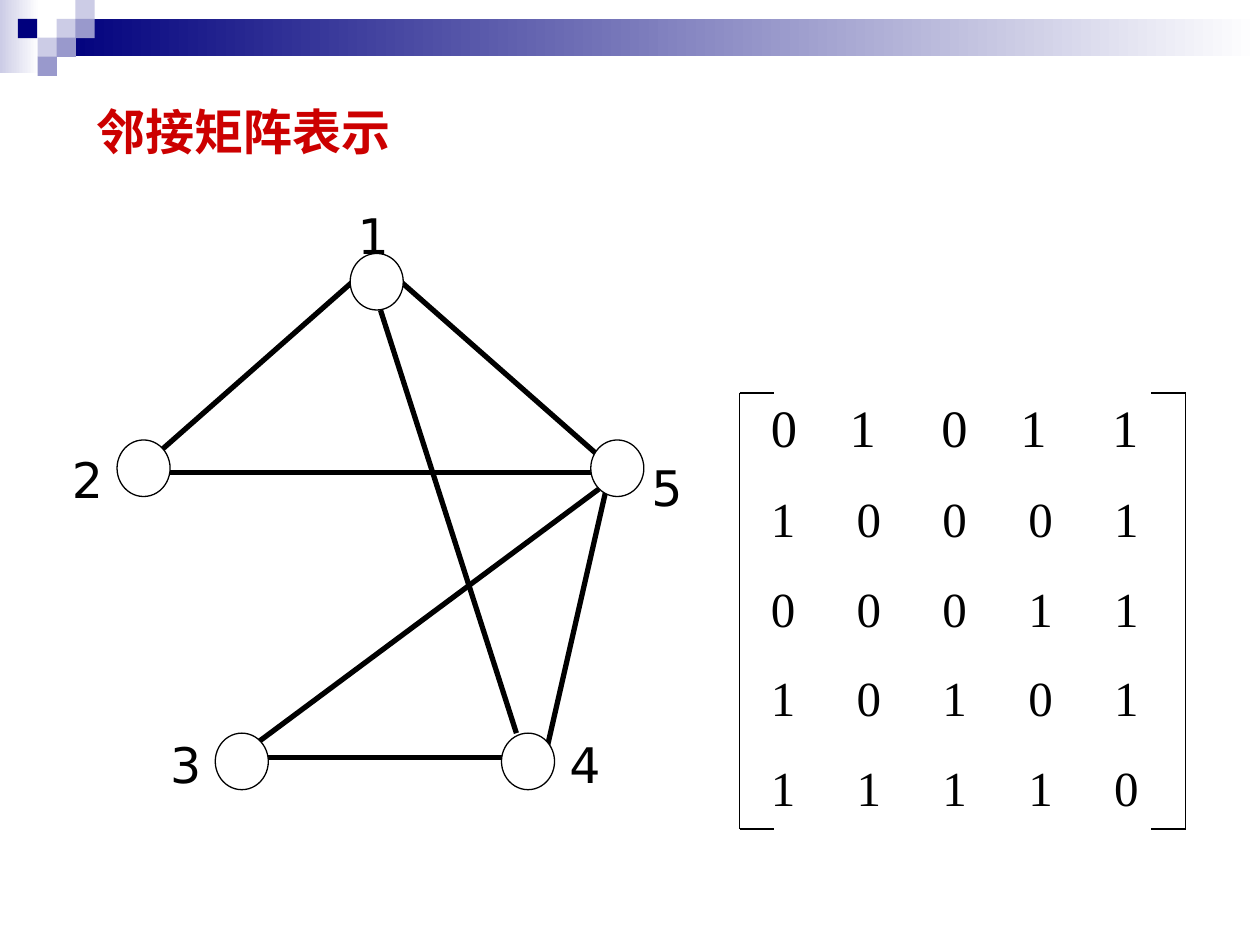
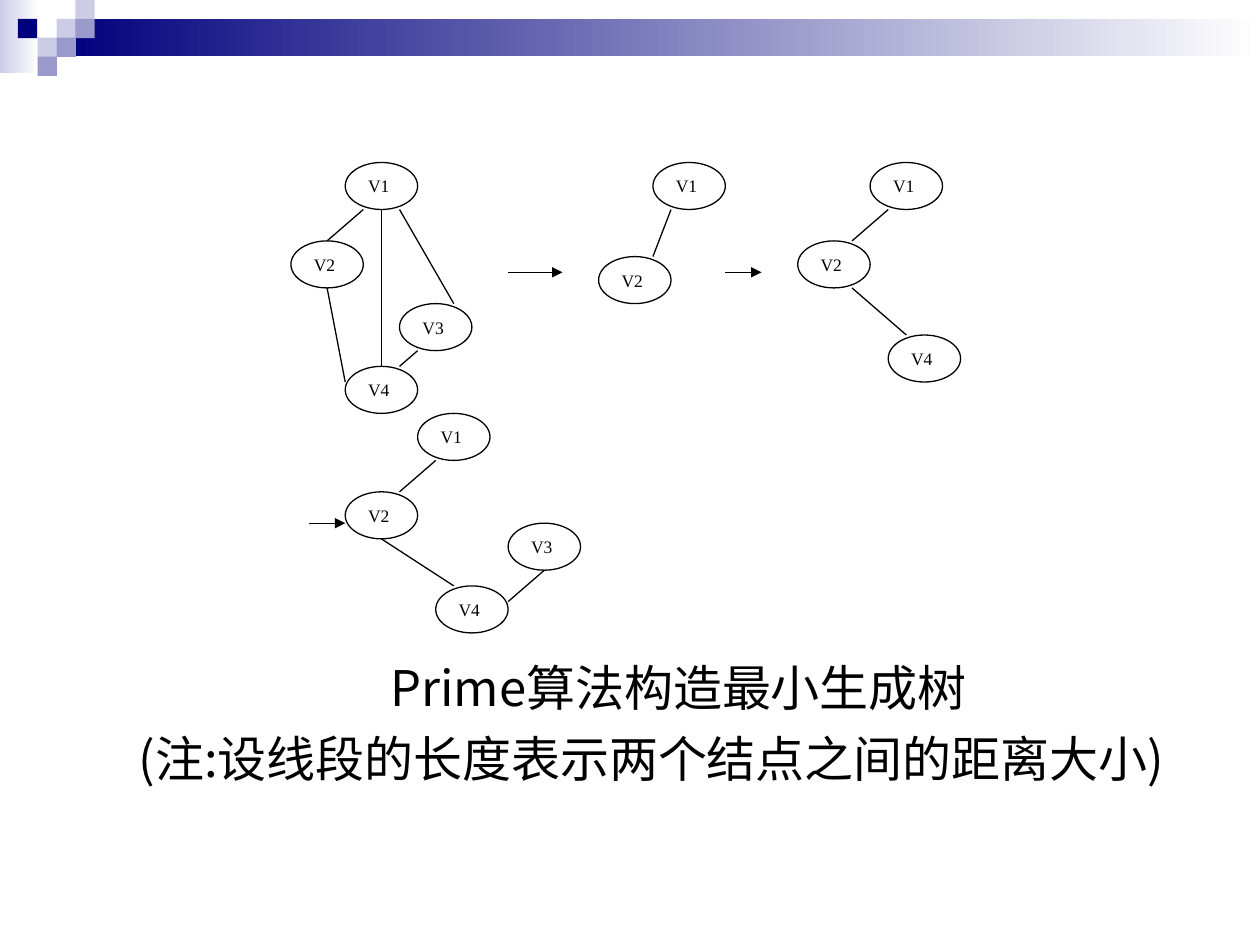
from dataclasses import dataclass

import pptx
import pptx.dml.color
import pptx.enum.dml
import pptx.enum.shapes
import pptx.enum.text
import pptx.oxml.ns
import pptx.util
from lxml import etree

Cm, Pt = pptx.util.Cm, pptx.util.Pt
SHAPES = pptx.enum.shapes.MSO_SHAPE
ALIGN = pptx.enum.text.PP_ALIGN
ANCHOR = pptx.enum.text.MSO_ANCHOR
qn = pptx.oxml.ns.qn


@dataclass(frozen=True)
class Theme:
    navy: str = "00007D"
    violet: str = "9999CC"
    lilac: str = "CCCCE6"
    white: str = "FFFFFF"
    ink: str = "000000"
    red: str = "CC0000"
    title_font: str = "Arial"
    label_font: str = "DejaVu Sans"
    serif_font: str = "Times New Roman"
    chinese_font: str = "Noto Sans CJK SC"
    large: float = 28
    first_row: float = 30
    small: float = 10
    thin: float = 0.75
    thick: float = 3


THEME = Theme()

# Header: left, top, width, height in cm, then a colour or a gradient pair
SQUARE = 0.39
HEADER_BARS = [
    (0, 0, 0.79, 1.47, (THEME.lilac, THEME.white)),
    (1.14, 0.38, 24.26, 0.76, (THEME.navy, THEME.white)),
]
HEADER_SQUARES = [
    (1.14, 0.38, THEME.lilac), (1.52, 0, THEME.lilac), (1.52, 0.38, THEME.violet),
    (0.76, 0.76, THEME.lilac), (0.36, 0.38, THEME.navy), (1.14, 0.76, THEME.violet),
    (0.76, 1.14, THEME.violet),
]

# Adjacency matrix slide, in cm
MATRIX_TITLE = "邻接矩阵表示"
VERTEX_SIZE = (1.07, 1.14)
LABEL_SIZE = (0.91, 1.24)
# label, vertex corner, label corner, label alignment
VERTICES = [
    ("1", (7.06, 5.11), (7.06, 4.11), ALIGN.CENTER),
    ("2", (2.36, 8.87), (1.3, 9.04), ALIGN.RIGHT),
    ("3", (4.34, 14.78), (3.28, 14.78), ALIGN.RIGHT),
    ("4", (10.11, 14.78), (11.33, 14.78), ALIGN.LEFT),
    ("5", (11.91, 8.87), (12.98, 9.19), ALIGN.LEFT),
]
GRAPH_EDGES = [
    ((7.98, 5.59), (12.07, 9.19)),
    ((3.43, 9.53), (11.91, 9.53)),
    ((12.22, 9.86), (11.02, 15.11)),
    ((7.21, 5.59), (3.12, 9.19)),
    ((12.07, 9.86), (5.23, 14.94)),
    ((10.26, 15.27), (5.41, 15.27)),
    ((7.67, 6.25), (10.41, 14.78)),
]
MATRIX = ["01011", "10001", "00011", "10101", "11110"]
FIRST_ROW_STOPS = [1.59, 3.44, 5.03, 6.88]
ROW_STOPS = [1.73 * column for column in range(1, 5)]
BRACKET_LEFT, BRACKET_RIGHT, BRACKET_TOP, BRACKET_BOTTOM = 14.91, 23.9, 7.92, 16.71
BRACKET_TICK = 0.69

# Spanning tree slide, in grid cells
GRID_LEFT, GRID_TOP, GRID_WIDTH, GRID_HEIGHT = 5.5, 2.96, 17.15, 9.8
CELL_WIDTH, CELL_HEIGHT = GRID_WIDTH / 47, GRID_HEIGHT / 31
NODE_CELLS = (4, 3)
STAGES = [
    {"nodes": {"V1": (4, 1), "V2": (1, 6), "V3": (7, 10), "V4": (4, 14)},
     "edges": [((5, 4), (3, 6)), ((6, 4), (6, 14)), ((3, 9), (4, 15)),
               ((7, 4), (10, 10)), ((8, 13), (7, 14))]},
    {"arrow": ((13, 8), (16, 8)),
     "nodes": {"V1": (21, 1), "V2": (18, 7)},
     "edges": [((22, 4), (21, 7))]},
    {"arrow": ((25, 8), (27, 8)),
     "nodes": {"V1": (33, 1), "V2": (29, 6), "V4": (34, 12)},
     "edges": [((34, 4), (32, 6)), ((32, 9), (35, 12))]},
    {"arrow": ((2, 24), (4, 24)),
     "nodes": {"V1": (8, 17), "V2": (4, 22), "V4": (9, 28), "V3": (13, 24)},
     "edges": [((9, 20), (7, 22)), ((6, 25), (10, 28)), ((13, 29), (15, 27))]},
]
# text, left margin, right margin in cm
CAPTION = [
    ("Prime算法构造最小生成树", 0.9, 0),
    ("(注:设线段的长度表示两个结点之间的距离大小)", 0, 0.2),
]


def rgb(color):
    return pptx.dml.color.RGBColor.from_string(color)


def place(shape, left, top, width, height):
    shape.left, shape.top = Cm(left), Cm(top)
    shape.width, shape.height = Cm(width), Cm(height)


def write(shape, text, *, font, size=THEME.large, color=THEME.ink, bold=False,
          align=ALIGN.LEFT, anchor=ANCHOR.MIDDLE, insets=(0.25, 0.13),
          space_before=0, stops=(), margins=None):
    """Fill the shape's first paragraph, or add one after existing text."""
    frame = shape.text_frame
    frame.word_wrap = True
    frame.auto_size = pptx.enum.text.MSO_AUTO_SIZE.NONE
    frame.vertical_anchor = anchor
    frame.margin_left = frame.margin_right = Cm(insets[0])
    frame.margin_top = frame.margin_bottom = Cm(insets[1])
    paragraph = frame.add_paragraph() if frame.text else frame.paragraphs[0]
    properties = paragraph._p.get_or_add_pPr()
    if margins:
        properties.set("marL", str(Cm(margins[0])))
        properties.set("marR", str(Cm(margins[1])))
        properties.set("indent", "0")
        etree.SubElement(properties, qn("a:buNone"))
    if stops:
        tab_list = etree.SubElement(properties, qn("a:tabLst"))
        for stop in stops:
            etree.SubElement(tab_list, qn("a:tab"), pos=str(Cm(stop)), algn="l")
    paragraph.alignment = align
    paragraph.space_before = Pt(space_before)
    run = paragraph.add_run()
    run.text = text
    run.font.name, run.font.size, run.font.bold = font, Pt(size), bold
    run.font.color.rgb = rgb(color)
    etree.SubElement(run._r.get_or_add_rPr(), qn("a:ea"), typeface=THEME.chinese_font)


def add_filled(slide, kind, left, top, width, height, fill, outlined=False):
    """Add a preset shape; a pair of colours gives a left-to-right gradient."""
    shape = slide.shapes.add_shape(kind, Cm(left), Cm(top), Cm(width), Cm(height))
    shape.shadow.inherit = False
    if isinstance(fill, tuple):
        shape.fill.gradient()
        shape.fill.gradient_angle = 0
        for position, (stop, color) in enumerate(zip(shape.fill.gradient_stops, fill)):
            stop.position = position
            stop.color.rgb = rgb(color)
    else:
        shape.fill.solid()
        shape.fill.fore_color.rgb = rgb(fill)
    if outlined:
        shape.line.color.rgb = rgb(THEME.ink)
        shape.line.width = Pt(THEME.thin)
    else:
        shape.line.fill.background()
    return shape


def add_line(slide, start, end, width=THEME.thin, arrow=False):
    connector = slide.shapes.add_connector(
        pptx.enum.shapes.MSO_CONNECTOR.STRAIGHT, *map(Cm, (*start, *end)))
    connector.line.color.rgb = rgb(THEME.ink)
    connector.line.width = Pt(width)
    if arrow:
        etree.SubElement(connector.line._get_or_add_ln(), qn("a:tailEnd"), type="triangle")
    etree.SubElement(connector._element.spPr, qn("a:effectLst"))


def add_slide(presentation, layout_index):
    slide = presentation.slides.add_slide(presentation.slide_layouts[layout_index])
    for left, top, width, height, fill in HEADER_BARS:
        add_filled(slide, SHAPES.RECTANGLE, left, top, width, height, fill)
    for left, top, fill in HEADER_SQUARES:
        add_filled(slide, SHAPES.RECTANGLE, left, top, SQUARE, SQUARE, fill)
    return slide


def draw_graph(slide):
    for start, end in GRAPH_EDGES:
        add_line(slide, start, end, THEME.thick)
    for text, vertex_corner, label_corner, align in VERTICES:
        add_filled(slide, SHAPES.OVAL, *vertex_corner, *VERTEX_SIZE, THEME.white, outlined=True)
        label = slide.shapes.add_textbox(*map(Cm, (*label_corner, *LABEL_SIZE)))
        write(label, text, font=THEME.label_font, align=align, insets=(0.15, 0.03))


def draw_matrix(slide):
    for side, direction in ((BRACKET_LEFT, 1), (BRACKET_RIGHT, -1)):
        add_line(slide, (side, BRACKET_TOP), (side, BRACKET_BOTTOM))
        for edge in (BRACKET_TOP, BRACKET_BOTTOM):
            add_line(slide, (side, edge), (side + direction * BRACKET_TICK, edge))
    box = slide.shapes.add_textbox(Cm(15.49), Cm(7.94), Cm(7.9), Cm(8.5))
    for index, row in enumerate(MATRIX):
        write(box, "\t".join(row), font=THEME.serif_font,
              size=THEME.large if index else THEME.first_row,
              stops=ROW_STOPS if index else FIRST_ROW_STOPS,
              space_before=17.5 if index else 0,
              anchor=ANCHOR.TOP, insets=(0.05, 0.03))


def grid_point(cell):
    return GRID_LEFT + cell[0] * CELL_WIDTH, GRID_TOP + cell[1] * CELL_HEIGHT


def draw_stage(slide, stage):
    if "arrow" in stage:
        add_line(slide, *map(grid_point, stage["arrow"]), arrow=True)
    for edge in stage["edges"]:
        add_line(slide, *map(grid_point, edge))
    for name, cell in stage["nodes"].items():
        node = add_filled(slide, SHAPES.OVAL, *grid_point(cell), NODE_CELLS[0] * CELL_WIDTH,
                          NODE_CELLS[1] * CELL_HEIGHT, THEME.white, outlined=True)
        write(node, name, font=THEME.serif_font, size=THEME.small)


def build_matrix_slide(presentation):
    slide = add_slide(presentation, 5)
    title = slide.shapes.title
    place(title, 1.7, 1.91, 7.6, 1.45)
    write(title, MATRIX_TITLE, font=THEME.title_font, color=THEME.red, bold=True)
    draw_graph(slide)
    draw_matrix(slide)


def build_tree_slide(presentation):
    slide = add_slide(presentation, 1)
    title = slide.shapes.title._element
    title.getparent().remove(title)
    body = slide.placeholders[1]
    place(body, 1.9, 13.13, 22.66, 3.81)
    for index, (text, left, right) in enumerate(CAPTION):
        write(body, text, font=THEME.chinese_font, align=ALIGN.CENTER,
              anchor=ANCHOR.TOP, margins=(left, right), space_before=7 if index else 0)
    add_filled(slide, SHAPES.RECTANGLE, GRID_LEFT, GRID_TOP, GRID_WIDTH, GRID_HEIGHT, THEME.white)
    for stage in STAGES:
        draw_stage(slide, stage)


def main():
    presentation = pptx.Presentation()
    presentation.slide_width, presentation.slide_height = Cm(25.4), Cm(19.05)
    build_matrix_slide(presentation)
    build_tree_slide(presentation)
    presentation.save("out.pptx")


if __name__ == "__main__":
    main()
